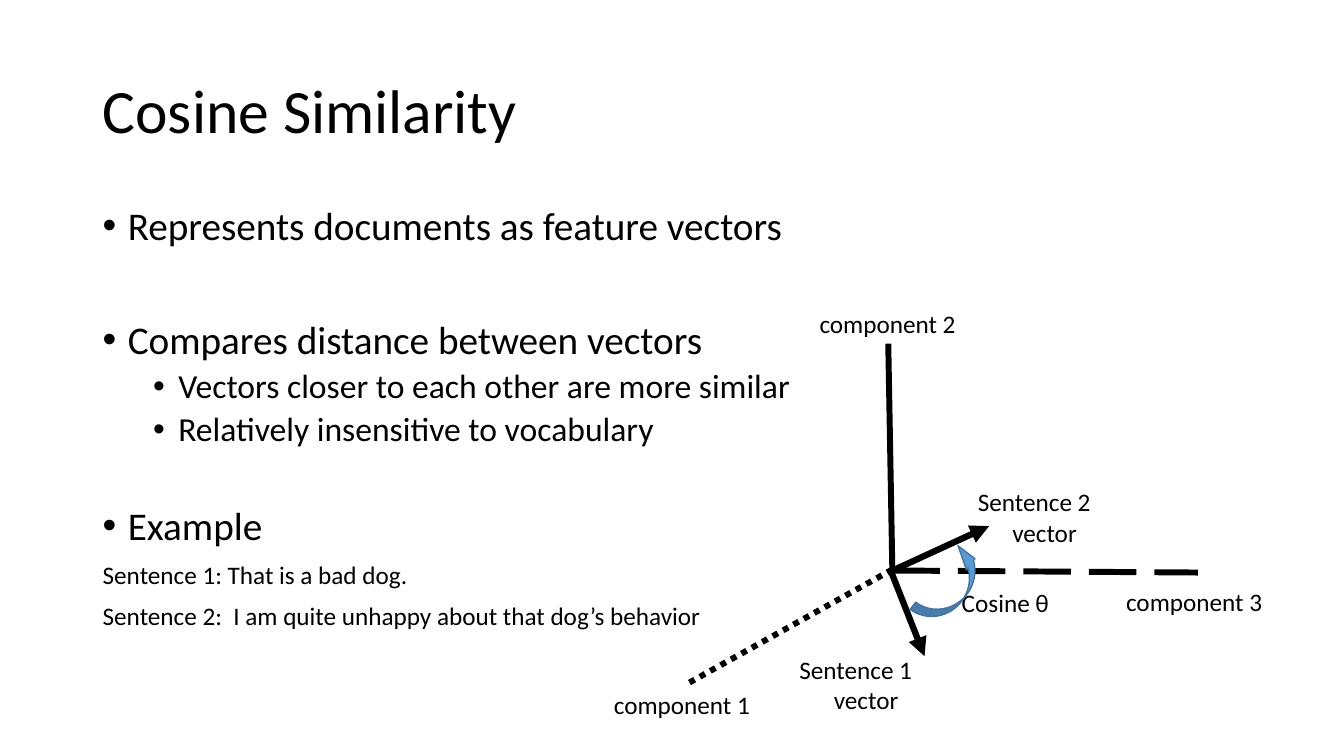
from dataclasses import dataclass

from lxml.etree import SubElement
from pptx import Presentation
from pptx.dml.color import RGBColor
from pptx.enum.dml import MSO_LINE
from pptx.enum.shapes import MSO_CONNECTOR, MSO_SHAPE
from pptx.enum.text import MSO_ANCHOR, PP_ALIGN
from pptx.oxml.ns import qn
from pptx.shapes.autoshape import Shape
from pptx.slide import Slide
from pptx.util import Emu, Pt

EMU_PER_PX = 9144
BLACK = RGBColor(0x00, 0x00, 0x00)
BLUE = RGBColor(0x5B, 0x9B, 0xD5)
DARK_BLUE = RGBColor(0x43, 0x73, 0x9E)
FONT = "Calibri"


@dataclass(frozen=True)
class Line:
    text: str
    size: int = 18
    before: int = 0
    spacing: float = 1.0
    bullet_indent: int = 0
    alignment: PP_ALIGN = PP_ALIGN.LEFT


@dataclass(frozen=True)
class Label:
    left: int
    top: int
    width: int
    height: int
    lines: tuple[str, ...]


@dataclass(frozen=True)
class Vector:
    start: tuple[int, int]
    end: tuple[int, int]
    width: float = 4.25
    dash: MSO_LINE | None = None
    arrow: bool = False
    label: str = ""


BODY = [
    Line("Represents documents as feature vectors", 28, 10, 0.9, 25),
    Line("Compares distance between vectors", 28, 51, 0.9, 25),
    Line("Vectors closer to each other are more similar", 24, 5, 0.9, 75),
    Line("Relatively insensitive to vocabulary", 24, 5, 0.9, 75),
    Line("Example", 28, 41, 0.9, 25),
    Line("Sentence 1: That is a bad dog.", 18, 10, 0.9),
    Line("Sentence 2:  I am quite unhappy about that dog’s behavior", 18, 10, 0.9),
]
LABELS = [
    Label(599, 679, 163, 40, ("component 1",)),
    Label(803, 301, 163, 40, ("component 2",)),
    Label(1107, 577, 163, 40, ("component 3",)),
    Label(783, 644, 152, 71, ("Sentence 1", "vector")),
    Label(960, 478, 152, 71, ("Sentence 2", "vector")),
    Label(944, 578, 152, 40, ("Cosine θ",)),
]
VECTORS = [
    Vector((885, 564), (881, 341)),
    Vector((885, 565), (682, 679), dash=MSO_LINE.ROUND_DOT, label="component 1"),
    Vector((885, 566), (1188, 568), dash=MSO_LINE.LONG_DASH),
    Vector((881, 568), (981, 522), width=4.5, arrow=True),
    Vector((883, 565), (917, 651), width=4.5, arrow=True),
]


def px(length: int) -> Emu:
    return Emu(length * EMU_PER_PX)


def add_text(
    slide: Slide,
    lines: list[Line],
    *,
    left: int,
    top: int,
    width: int,
    height: int,
    anchor: MSO_ANCHOR = MSO_ANCHOR.TOP,
) -> Shape:
    shape = slide.shapes.add_textbox(px(left), px(top), px(width), px(height))
    frame = shape.text_frame
    frame.word_wrap = True
    frame.vertical_anchor = anchor
    for index, line in enumerate(lines):
        paragraph = frame.add_paragraph() if index else frame.paragraphs[0]
        paragraph.alignment = line.alignment
        paragraph.line_spacing = line.spacing
        paragraph.space_before = Pt(line.before)
        run = paragraph.add_run()
        run.text = line.text
        run.font.name = FONT
        run.font.size = Pt(line.size)
        run.font.color.rgb = BLACK
        if line.bullet_indent:
            properties = paragraph._p.get_or_add_pPr()
            properties.set("marL", str(px(line.bullet_indent)))
            properties.set("indent", str(px(-25)))
            SubElement(properties, qn("a:buFont"), typeface="Arial")
            SubElement(properties, qn("a:buChar"), char="•")
    return shape


def add_label(slide: Slide, label: Label) -> Shape:
    alignments = (PP_ALIGN.LEFT, PP_ALIGN.CENTER)
    lines = [
        Line(text, alignment=alignment)
        for text, alignment in zip(label.lines, alignments)
    ]
    return add_text(
        slide,
        lines,
        left=label.left,
        top=label.top,
        width=label.width,
        height=label.height,
    )


def add_vector(slide: Slide, vector: Vector, labels: dict[str, Shape]) -> None:
    connector = slide.shapes.add_connector(
        MSO_CONNECTOR.STRAIGHT, *map(px, vector.start + vector.end)
    )
    connector.line.color.rgb = BLACK
    connector.line.width = Pt(vector.width)
    if vector.dash is not None:
        connector.line.dash_style = vector.dash
    if vector.arrow:
        SubElement(connector.line._get_or_add_ln(), qn("a:tailEnd"), type="triangle")
    SubElement(connector._element.spPr, qn("a:effectLst"))
    if vector.label:
        connector.end_connect(labels[vector.label], 0)


def add_angle_arrow(slide: Slide) -> None:
    shape = slide.shapes.add_shape(
        MSO_SHAPE.CURVED_UP_ARROW, px(900), px(563), px(86), px(36)
    )
    shape.rotation = 306.9
    for index, value in enumerate((0.25, 0.39, 0.59)):
        shape.adjustments[index] = value
    shape.shadow.inherit = False
    shape.fill.solid()
    shape.fill.fore_color.rgb = BLUE
    shape.line.color.rgb = DARK_BLUE
    shape.line.width = Pt(1)


def main() -> None:
    presentation = Presentation()
    presentation.slide_width = px(1333)
    presentation.slide_height = px(750)
    slide = presentation.slides.add_slide(presentation.slide_layouts[6])
    add_text(
        slide,
        [Line("Cosine Similarity", 44, spacing=0.9)],
        left=92,
        top=40,
        width=1150,
        height=145,
        anchor=MSO_ANCHOR.MIDDLE,
    )
    add_text(slide, BODY, left=92, top=200, width=1150, height=476)
    labels = {label.lines[0]: add_label(slide, label) for label in LABELS}
    for vector in VECTORS:
        add_vector(slide, vector, labels)
    add_angle_arrow(slide)
    presentation.save("out.pptx")


if __name__ == "__main__":
    main()
